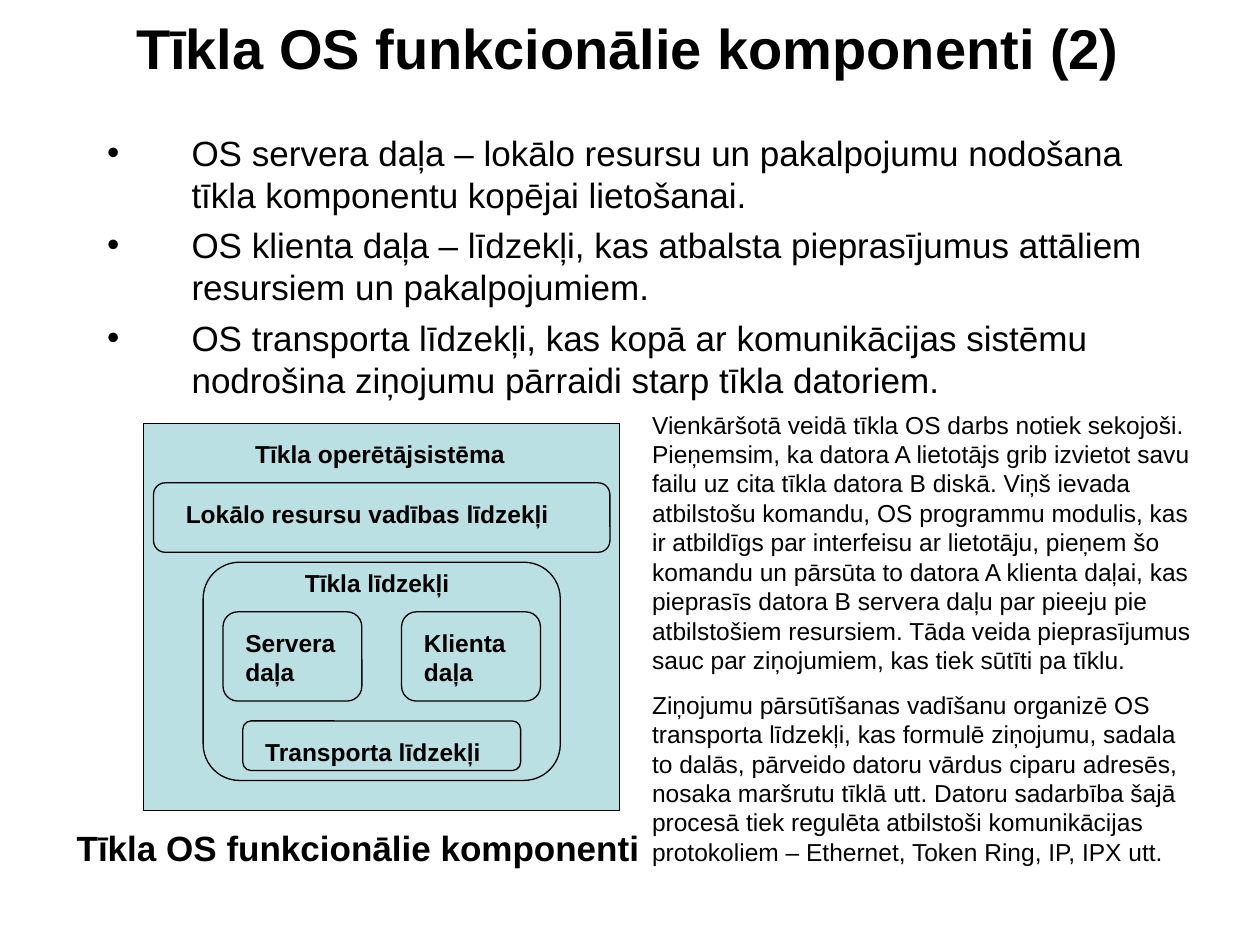
from dataclasses import dataclass

from lxml.etree import SubElement
from pptx import Presentation
from pptx.dml.color import RGBColor
from pptx.enum.shapes import MSO_SHAPE as Shape
from pptx.enum.text import MSO_ANCHOR as Anchor, MSO_AUTO_SIZE as AutoSize, PP_ALIGN as Align
from pptx.oxml.ns import qn
from pptx.util import Inches, Mm, Pt

BLACK = "000000"
PALE_TEAL = "BBE0E3"
CELL = Mm(2)
GRID_LEFT, GRID_TOP = Inches(1.14), Inches(3.36)


@dataclass
class Area:
    col: float
    row: float
    cols: float
    rows: float

    def place(self) -> tuple[int, int, int, int]:
        return (int(GRID_LEFT + self.col * CELL), int(GRID_TOP + self.row * CELL),
                int(self.cols * CELL), int(self.rows * CELL))


@dataclass
class Block:
    area: Area
    outline: Shape = Shape.ROUNDED_RECTANGLE


@dataclass
class Label:
    area: Area
    paragraphs: list[str]
    size: float = 14
    bold: bool = True
    gap: float = 0


def colour(value: str) -> RGBColor:
    return RGBColor.from_string(value)


def add_words(paragraph, words: str, size: float, bold: bool) -> None:
    run = paragraph.add_run()
    run.text = words
    run.font.name = "Arial"
    run.font.size = Pt(size)
    run.font.bold = bold
    run.font.color.rgb = colour(BLACK)


def fill_frame(frame, paragraphs: list[str], size: float, bold: bool, gap: float) -> None:
    frame.word_wrap = True
    for index, words in enumerate(paragraphs):
        paragraph = frame.add_paragraph() if index else frame.paragraphs[0]
        paragraph.alignment = Align.LEFT
        paragraph.space_before = Pt(gap if index else 0)
        add_words(paragraph, words, size, bold)


def set_bullet(paragraph, indent: int) -> None:
    properties = paragraph._p.get_or_add_pPr()
    properties.set("marL", str(indent))
    properties.set("indent", str(-indent))
    SubElement(properties, qn("a:buChar")).set("char", "•")


def move(shape, left: float, top: float, width: float, height: float) -> None:
    shape.left, shape.top = Inches(left), Inches(top)
    shape.width, shape.height = Inches(width), Inches(height)


def draw_block(slide, block: Block) -> None:
    box = slide.shapes.add_shape(block.outline, *block.area.place())
    box.shadow.inherit = False
    box.fill.solid()
    box.fill.fore_color.rgb = colour(PALE_TEAL)
    box.line.color.rgb = colour(BLACK)
    box.line.width = Pt(0.75)


def draw_label(slide, label: Label) -> None:
    frame = slide.shapes.add_textbox(*label.area.place()).text_frame
    fill_frame(frame, label.paragraphs, label.size, label.bold, label.gap)


BULLETS = [
    "OS servera daļa – lokālo resursu un pakalpojumu nodošana tīkla komponentu kopējai lietošanai.",
    "OS klienta daļa – līdzekļi, kas atbalsta pieprasījumus attāliem resursiem un pakalpojumiem.",
    "OS transporta līdzekļi, kas kopā ar komunikācijas sistēmu nodrošina ziņojumu pārraidi "
    "starp tīkla datoriem.",
]

EXPLANATION = [
    "Vienkāršotā veidā tīkla OS darbs notiek sekojoši. Pieņemsim, ka datora A lietotājs grib "
    "izvietot savu failu uz cita tīkla datora B diskā. Viņš ievada atbilstošu komandu, OS "
    "programmu modulis, kas ir atbildīgs par interfeisu ar lietotāju, pieņem šo komandu un "
    "pārsūta to datora A klienta daļai, kas pieprasīs datora B servera daļu par pieeju pie "
    "atbilstošiem resursiem. Tāda veida pieprasījumus sauc par ziņojumiem, kas tiek sūtīti "
    "pa tīklu.",
    "Ziņojumu pārsūtīšanas vadīšanu organizē OS transporta līdzekļi, kas formulē ziņojumu, "
    "sadala to dalās, pārveido datoru vārdus ciparu adresēs, nosaka maršrutu tīklā utt. Datoru "
    "sadarbība šajā procesā tiek regulēta atbilstoši komunikācijas protokoliem – Ethernet, "
    "Token Ring, IP, IPX utt.",
]

BLOCKS = [
    Block(Area(0, 0, 48, 39), Shape.RECTANGLE),
    Block(Area(1, 6, 46, 7)),
    Block(Area(6, 14, 36, 22)),
    Block(Area(8, 19, 14, 9)),
    Block(Area(26, 19, 14, 9)),
    Block(Area(10, 30, 28, 5)),
]

LABELS = [
    Label(Area(10, 1, 29, 4.3), ["Tīkla operētājsistēma"]),
    Label(Area(3, 7, 43, 4.3), ["Lokālo resursu vadības līdzekļi"]),
    Label(Area(15, 14, 19, 4.3), ["Tīkla līdzekļi"]),
    Label(Area(9, 20, 12, 7.3), ["Servera daļa"]),
    Label(Area(27, 20, 12, 7.3), ["Klienta daļa"]),
    Label(Area(11, 31, 27, 4.3), ["Transporta līdzekļi"]),
    Label(Area(-8, 40, 62, 5.6), ["Tīkla OS funkcionālie komponenti"], size=20),
    Label(Area(50, -2, 57, 51.8), EXPLANATION, bold=False, gap=8.8),
]


def main() -> None:
    deck = Presentation()
    deck.slide_width, deck.slide_height = Inches(10), Inches(7.5)
    slide = deck.slides.add_slide(deck.slide_layouts[1])

    title, body = slide.shapes.title, slide.placeholders[1]
    move(title, 0.98, 0.1, 8.35, 0.55)
    title.text_frame.auto_size = AutoSize.NONE
    title.text_frame.vertical_anchor = Anchor.MIDDLE
    fill_frame(title.text_frame, ["Tīkla OS funkcionālie komponenti (2)"], 32, True, 0)

    move(body, 0.75, 0.99, 8.74, 5.59)
    body.text_frame.auto_size = AutoSize.NONE
    fill_frame(body.text_frame, BULLETS, 20, False, 5)
    for paragraph in body.text_frame.paragraphs:
        set_bullet(paragraph, Inches(0.67))

    for block in BLOCKS:
        draw_block(slide, block)
    for label in LABELS:
        draw_label(slide, label)
    deck.save("out.pptx")


if __name__ == "__main__":
    main()
